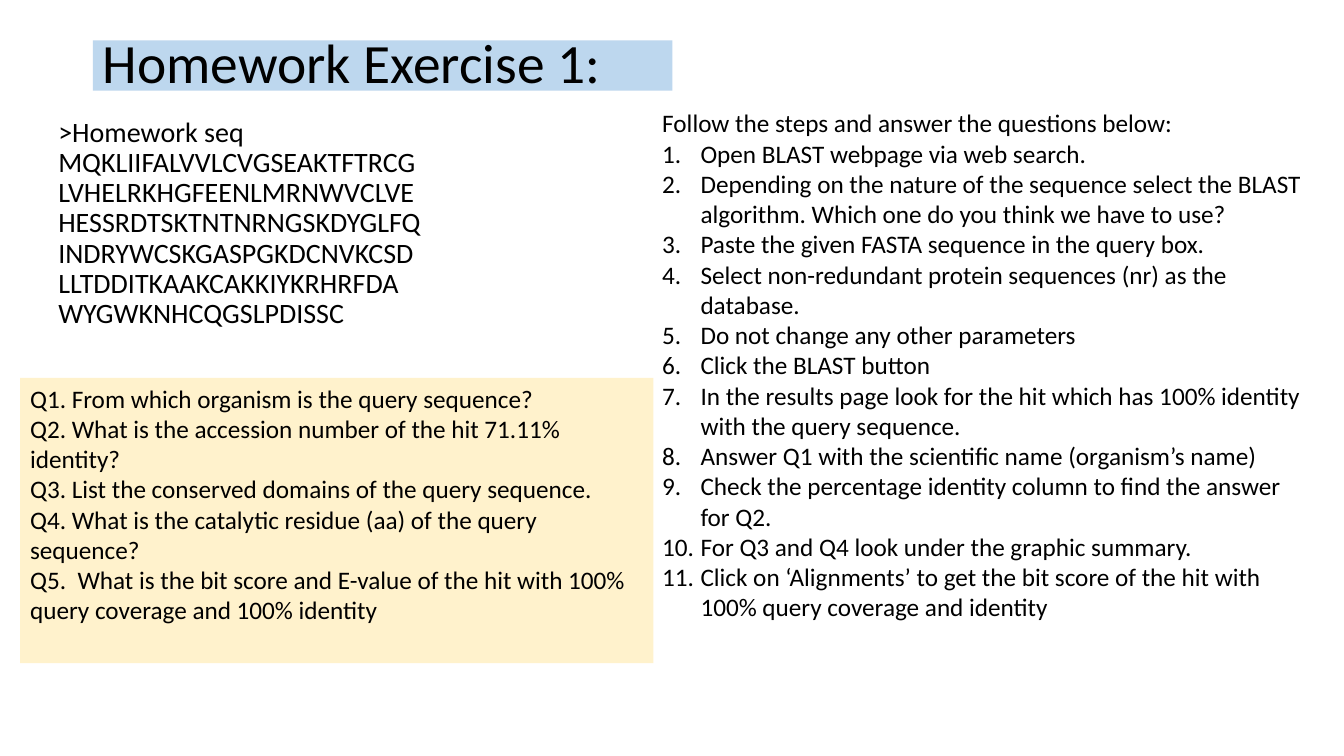
from pptx import Presentation
from pptx.dml.color import RGBColor
from pptx.enum.shapes import MSO_SHAPE as Shape
from pptx.enum.text import MSO_ANCHOR as Anchor, MSO_AUTO_SIZE as AutoSize, PP_ALIGN as Align
from pptx.oxml.ns import qn
from pptx.util import Inches, Pt
from lxml.etree import SubElement

# Content
TITLE = "Homework Exercise 1:"
SEQUENCE = (
    ">Homework seq "
    "MQKLIIFALVVLCVGSEAKTFTRCG"
    "LVHELRKHGFEENLMRNWVCLVE"
    "HESSRDTSKTNTNRNGSKDYGLFQ"
    "INDRYWCSKGASPGKDCNVKCSD"
    "LLTDDITKAAKCAKKIYKRHRFDA"
    "WYGWKNHCQGSLPDISSC"
)
INTRO = "Follow the steps and answer the questions below:"
STEPS = [
    "Open BLAST webpage via web search.",
    "Depending on the nature of the sequence select the BLAST algorithm. "
    "Which one do you think we have to use?",
    "Paste the given FASTA sequence in the query box.",
    "Select non-redundant protein sequences (nr) as the database.",
    "Do not change any other parameters",
    "Click the BLAST button",
    "In the results page look for the hit which has 100% identity with the query sequence.",
    "Answer Q1 with the scientific name (organism’s name)",
    "Check the percentage identity column to find the answer for Q2.",
    "For Q3 and Q4 look under the graphic summary.",
    "Click on ‘Alignments’ to get the bit score of the hit with 100% query coverage and identity",
]
QUESTIONS = [
    "Q1. From which organism is the query sequence?",
    "Q2. What is the accession number of the hit 71.11% identity?",
    "Q3. List the conserved domains of the query sequence.",
    "Q4. What is the catalytic residue (aa) of the query sequence?",
    "Q5.  What is the bit score and E-value of the hit with 100% query coverage and 100% identity",
]

# Places: left, top, width, height in inches
TITLE_AT = (0.92, 0.4, 5.75, 0.5)
SEQUENCE_AT = (0.48, 1.12, 3.8, 3.31)
STEPS_AT = (6.47, 1.02, 6.66, 5.86)
QUESTIONS_AT = (0.2, 3.75, 6.28, 2.83)
STEP_INDENT = Inches(0.38)


def color(hex_value):
    return RGBColor.from_string(hex_value)


def place(at):
    return [Inches(value) for value in at]


def paint(box, hex_value):
    box.fill.solid()
    box.fill.fore_color.rgb = color(hex_value)


def write(box, lines, size, spacing=1.0, anchor=Anchor.TOP):
    frame = box.text_frame
    frame.text = "\n".join(lines)
    frame.word_wrap = True
    frame.auto_size = AutoSize.NONE
    frame.vertical_anchor = anchor
    for para in frame.paragraphs:
        para.alignment = Align.LEFT
        para.line_spacing = spacing
        for span in para.runs:
            span.font.name = "Calibri"
            span.font.size = Pt(size)
            span.font.color.rgb = color("000000")
    return frame.paragraphs


def number(para):
    props = para._p.get_or_add_pPr()
    props.set("marL", str(STEP_INDENT))
    props.set("indent", str(-STEP_INDENT))
    SubElement(props, qn("a:buFont"), typeface="+mj-lt")
    SubElement(props, qn("a:buAutoNum"), type="arabicPeriod")


deck = Presentation()
deck.slide_width, deck.slide_height = Inches(13.33), Inches(7.5)
page = deck.slides.add_slide(deck.slide_layouts[5])

# Title on a blue band
title = page.shapes.title
title.left, title.top, title.width, title.height = place(TITLE_AT)
paint(title, "BDD7EE")
write(title, [TITLE], 39.6, 0.9, Anchor.MIDDLE)

# Protein sequence, wrapped by its box
sequence = page.shapes.add_textbox(*place(SEQUENCE_AT))
write(sequence, [SEQUENCE], 20, 0.9)[0].space_before = Pt(10)

# Numbered steps under an introduction
steps = page.shapes.add_textbox(*place(STEPS_AT))
for step in write(steps, [INTRO] + STEPS, 18)[1:]:
    number(step)

# Questions on a yellow panel
questions = page.shapes.add_shape(Shape.RECTANGLE, *place(QUESTIONS_AT))
questions.shadow.inherit = False
questions.line.fill.background()
paint(questions, "FFF2CC")
write(questions, QUESTIONS, 18)

deck.save("out.pptx")
